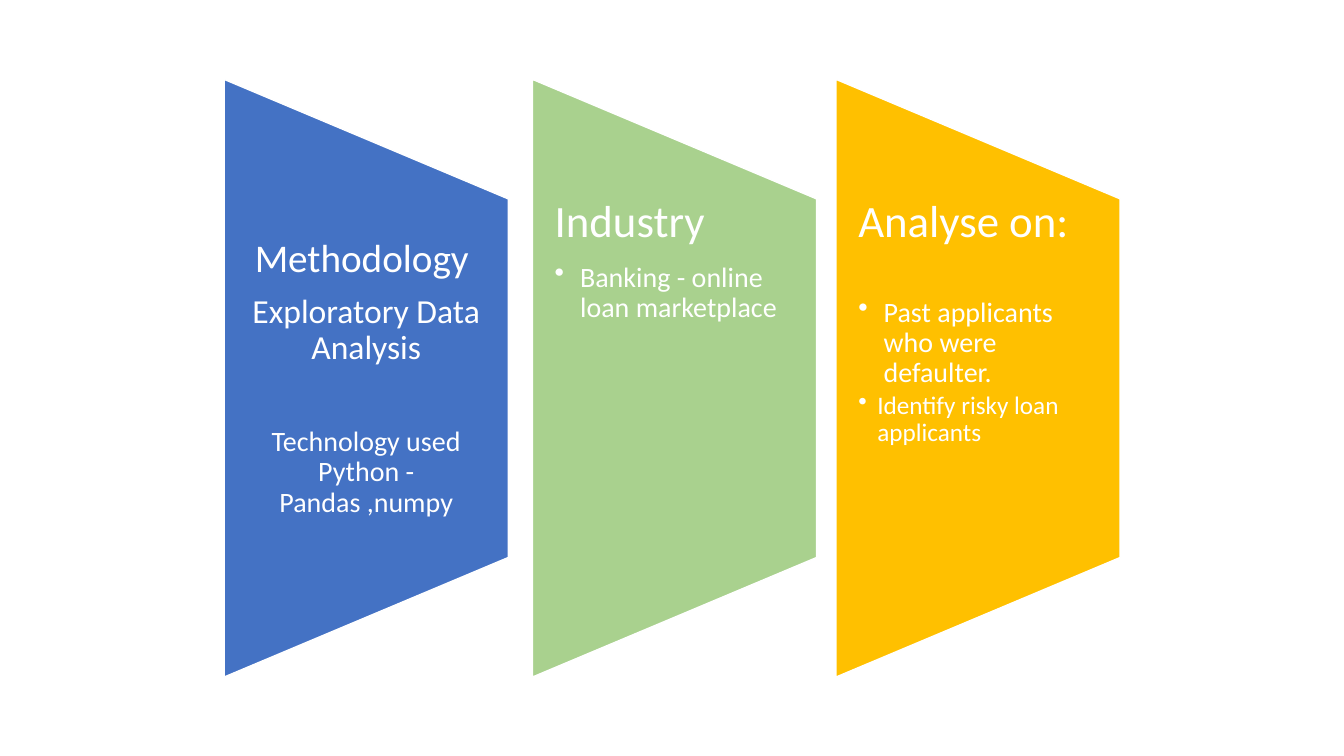
import lxml.etree
import pptx
import pptx.dml.color
import pptx.enum.shapes
import pptx.enum.text
import pptx.oxml.ns
import pptx.util
from pptx.util import Cm, Pt

BLUE = pptx.dml.color.RGBColor(0x44, 0x72, 0xC4)
GREEN = pptx.dml.color.RGBColor(0xA9, 0xD1, 0x8E)
AMBER = pptx.dml.color.RGBColor(0xFF, 0xC0, 0x00)
WHITE = pptx.dml.color.RGBColor(0xFF, 0xFF, 0xFF)

MIDDLE = 9.53
PANEL_WIDTH = 7.16
PANEL_HEIGHT = 15.06
TEXT_HEIGHT = 9.04


def add_panel(slide, center, color):
    """Draw a trapezoid turned so that its wide side faces left."""
    panel = slide.shapes.add_shape(
        pptx.enum.shapes.MSO_SHAPE.FLOWCHART_MANUAL_OPERATION,
        Cm(center - PANEL_HEIGHT / 2), Cm(MIDDLE - PANEL_WIDTH / 2),
        Cm(PANEL_HEIGHT), Cm(PANEL_WIDTH))
    panel.rotation = 270
    panel.shadow.inherit = False
    panel.fill.solid()
    panel.fill.fore_color.rgb = color
    panel.line.color.rgb = WHITE
    panel.line.width = Pt(1)


def add_panel_text(slide, center, margin, anchor):
    """Add an empty text frame over a panel."""
    frame = slide.shapes.add_textbox(
        Cm(center - PANEL_WIDTH / 2), Cm(MIDDLE - TEXT_HEIGHT / 2),
        Cm(PANEL_WIDTH), Cm(TEXT_HEIGHT)).text_frame
    frame.word_wrap = True
    frame.vertical_anchor = anchor
    frame.margin_left = frame.margin_right = Cm(margin)
    frame.margin_top = frame.margin_bottom = 0
    return frame


def set_bullet(paragraph, indent):
    """Give a paragraph a round bullet with a hanging indent."""
    properties = paragraph._p.get_or_add_pPr()
    properties.set("marL", str(Cm(indent)))
    properties.set("indent", str(-Cm(indent)))
    bullet = lxml.etree.SubElement(properties, pptx.oxml.ns.qn("a:buChar"))
    bullet.set("char", "•")


def fill_text(frame, lines, alignment):
    """Write lines given as text, size, space after and bullet indent."""
    for index, (text, size, space_after, indent) in enumerate(lines):
        paragraph = frame.add_paragraph() if index else frame.paragraphs[0]
        paragraph.text = text
        paragraph.alignment = alignment
        paragraph.line_spacing = 0.9
        paragraph.space_after = Pt(space_after)
        paragraph.font.name = "Calibri"
        paragraph.font.size = Pt(size)
        paragraph.font.color.rgb = WHITE
        if indent:
            paragraph.level = 1
            set_bullet(paragraph, indent)


def main():
    """Build the slide with three panels and save it."""
    deck = pptx.Presentation()
    deck.slide_width, deck.slide_height = Cm(33.87), Cm(19.05)
    slide = deck.slides.add_slide(deck.slide_layouts[6])

    align = pptx.enum.text.PP_ALIGN
    anchor = pptx.enum.text.MSO_ANCHOR
    methodology = [
        ("Methodology ", 28, 9.8, 0),
        ("Exploratory Data Analysis", 24, 43.2, 0),
        ("Technology used Python - Pandas ,numpy", 20, 7, 0),
    ]
    industry = [
        ("Industry", 32, 11.2, 0),
        ("Banking - online loan marketplace", 20, 3, 0.64),
    ]
    analysis = [
        ("Analyse on:", 32, 36.2, 0),
        ("Past applicants who were defaulter.", 20, 3, 0.64),
        ("Identify risky loan applicants", 18, 2.7, 0.48),
    ]
    panels = [
        (9.23, BLUE, methodology, 0.48, anchor.MIDDLE, align.CENTER),
        (17, GREEN, industry, 0.56, anchor.TOP, align.LEFT),
        (24.65, AMBER, analysis, 0.56, anchor.TOP, align.LEFT),
    ]
    for center, color, lines, margin, position, alignment in panels:
        add_panel(slide, center, color)
        frame = add_panel_text(slide, center, margin, position)
        fill_text(frame, lines, alignment)

    deck.save("out.pptx")


if __name__ == "__main__":
    main()
